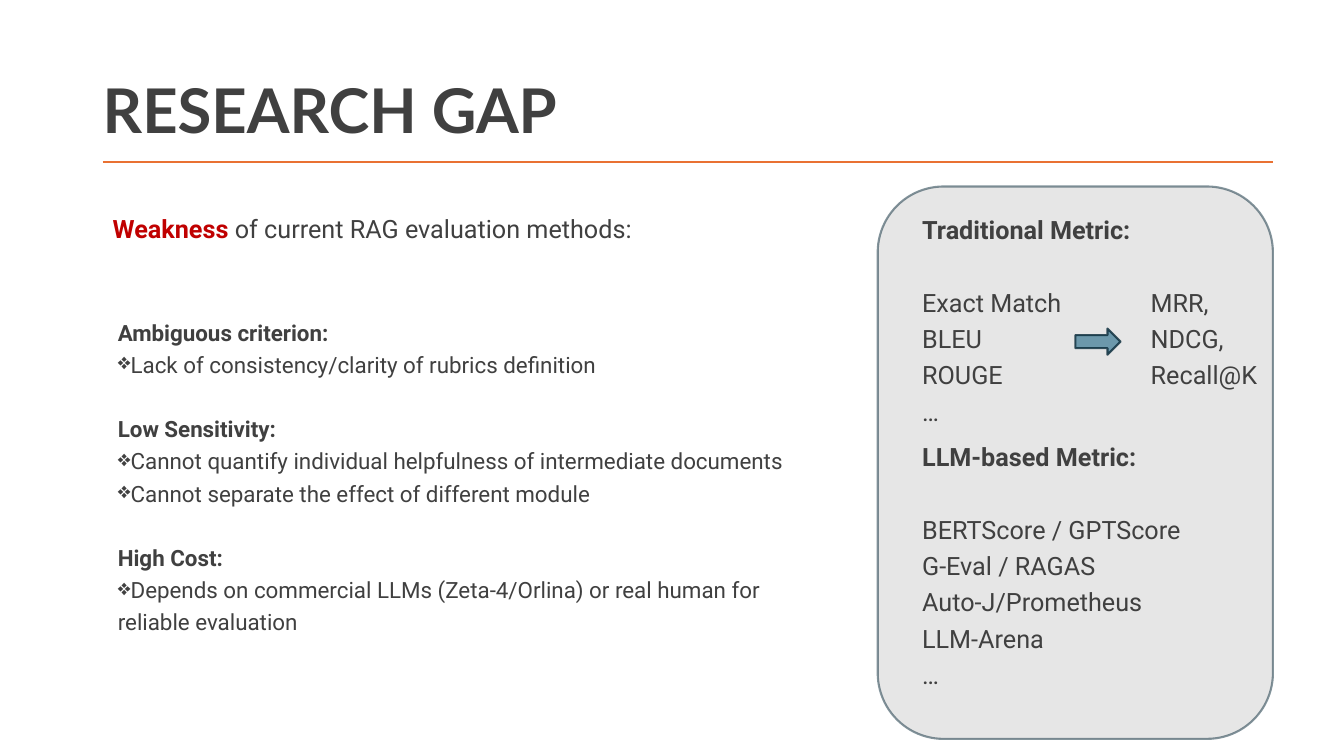
from lxml import etree
from pptx import Presentation, util as u
from pptx.dml.color import RGBColor
from pptx.enum import shapes, text
from pptx.oxml.ns import qn

INK = {
    "text": "404040",
    "alert": "C00000",
    "rule": "E97132",
    "panel": "AEAEAE",
    "arrow": "156082",
    "edge": "092A39",
}

FLAWS = [
    ("Ambiguous criterion:", ["Lack of consistency/clarity of rubrics definition"]),
    ("Low Sensitivity:", [
        "Cannot quantify individual helpfulness of intermediate documents",
        "Cannot separate the effect of different module",
    ]),
    ("High Cost:", [
        "Depends on commercial LLMs (Zeta-4/Orlina) or real human for reliable evaluation",
    ]),
]
CLASSIC = ["Exact Match", "BLEU", "ROUGE", "…"]
MODERN = ["BERTScore / GPTScore", "G-Eval / RAGAS", "Auto-J/Prometheus", "LLM-Arena", "…"]


def shade(key):
    return RGBColor.from_string(INK[key])


def place(*box):
    return [u.Cm(side) for side in box]


def add_frame(slide, box):
    frame = slide.shapes.add_textbox(*place(*box)).text_frame
    frame.word_wrap = True
    return frame


def style(run, size, bold=False, key="text", face="Roboto"):
    font = run.font
    font.size, font.bold, font.name = u.Pt(size), bold, face
    font.color.rgb = shade(key)


def add_line(frame, words, size, bold=False, gap=0, face="Roboto", pitch=1.2):
    """Write one paragraph, using the frame's empty first one if it is free."""
    para = frame.paragraphs[0]
    if para.runs:
        para = frame.add_paragraph()
    para.text = words
    para.line_spacing = pitch
    para.space_before = u.Pt(gap)
    style(para.runs[0], size, bold, face=face)
    return para


def add_bullet(para):
    props = para._p.get_or_add_pPr()
    props.set("marL", "0")
    props.set("indent", str(u.Cm(-0.79)))
    etree.SubElement(props, qn("a:buChar")).set("char", "❖")


def add_flaws(slide):
    frame = add_frame(slide, (2.72, 7.77, 18.36, 8.38))
    for rank, (head, points) in enumerate(FLAWS):
        add_line(frame, head, 16, True, gap=23 if rank else 0)
        for point in points:
            add_bullet(add_line(frame, point, 16))


def add_metrics(slide, box, head, names):
    frame = add_frame(slide, box)
    add_line(frame, head, 18, True)
    for rank, name in enumerate(names):
        add_line(frame, name, 18, gap=0 if rank else 26)


def add_glass(slide, kind, box, key, fill, edge):
    """Add a shape whose fill and outline have the given opacity in percent."""
    shape = slide.shapes.add_shape(kind, *place(*box))
    shape.shadow.inherit = False
    shape.fill.solid()
    shape.fill.fore_color.rgb = shade(key)
    shape.line.color.rgb = shade("edge")
    shape.line.width = u.Pt(1.5)
    tints = shape._element.spPr.iter(qn("a:srgbClr"))
    for tint, share in zip(tints, (fill, edge)):
        etree.SubElement(tint, qn("a:alpha")).set("val", str(share * 1000))


def add_rule(slide, left, right, top):
    rule = slide.shapes.add_connector(
        shapes.MSO_CONNECTOR.STRAIGHT, *place(left, top, right, top))
    rule.line.color.rgb = shade("rule")
    rule.line.width = u.Pt(1.5)
    etree.SubElement(rule._element.spPr, qn("a:effectLst"))


def main():
    deck = Presentation()
    deck.slide_width, deck.slide_height = place(33.87, 19.05)
    slide = deck.slides.add_slide(deck.slide_layouts[6])

    title = add_frame(slide, (2.34, 1.02, 29.21, 3.68))
    title.vertical_anchor = text.MSO_ANCHOR.MIDDLE
    add_line(title, "RESEARCH GAP", 44, True, face="Lato", pitch=0.9)
    add_rule(slide, 2.59, 32.08, 4.09)

    lead = add_line(add_frame(slide, (2.59, 5.11, 16.94, 1.09)), "Weakness ", 18)
    style(lead.runs[0], 18, True, "alert")
    rest = lead.add_run()
    rest.text = "of current RAG evaluation methods:"
    style(rest, 18)
    add_flaws(slide)

    kinds = shapes.MSO_SHAPE
    add_glass(slide, kinds.ROUNDED_RECTANGLE, (22.12, 4.7, 9.96, 13.92), "panel", 30, 50)
    add_metrics(slide, (22.99, 5.13, 7.26, 5.72), "Traditional Metric:", CLASSIC)
    add_metrics(slide, (22.99, 10.85, 7.26, 6.63), "LLM-based Metric:", MODERN)
    add_glass(slide, kinds.RIGHT_ARROW, (27.1, 8.28, 1.14, 0.66), "arrow", 58, 80)
    ranks = add_frame(slide, (28.75, 6.96, 3.35, 2.95))
    for words in ("MRR, NDCG,", "Recall@K"):
        add_line(ranks, words, 18)

    deck.save("out.pptx")


if __name__ == "__main__":
    main()
